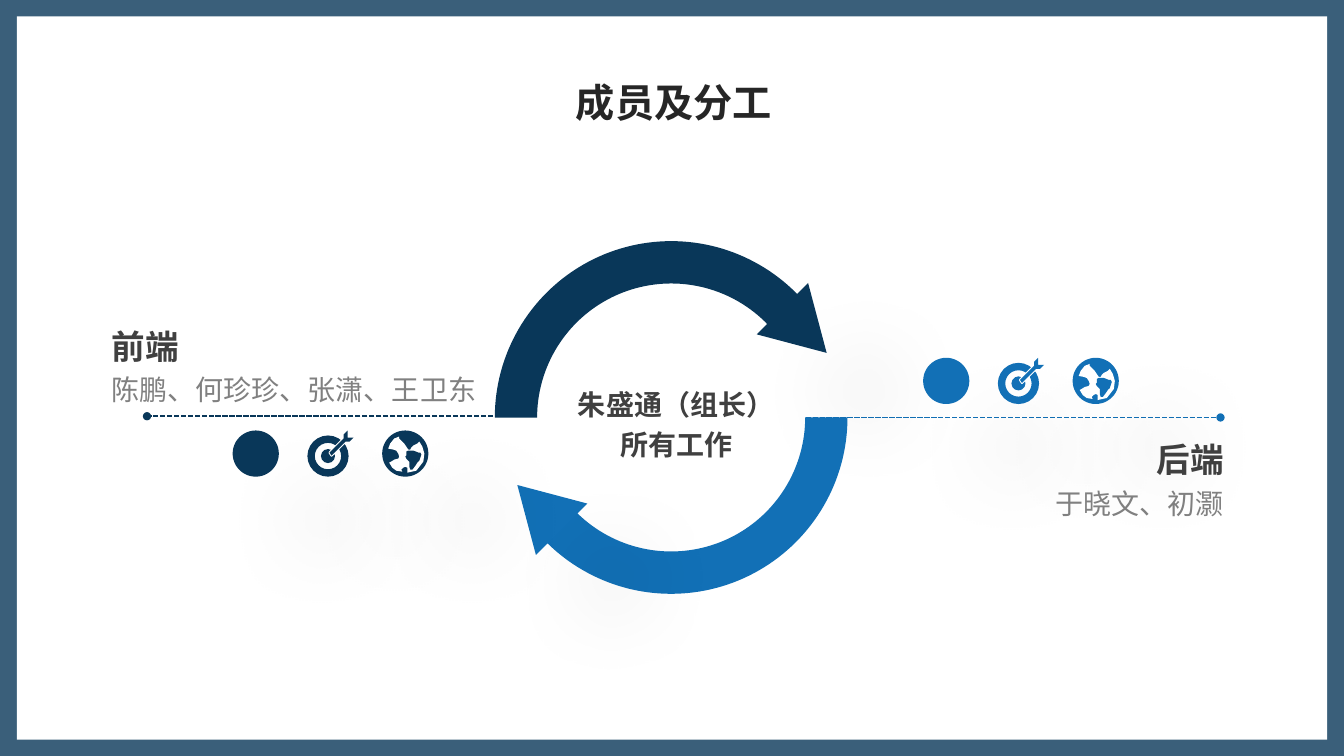
from dataclasses import dataclass

from lxml import etree
from pptx import Presentation, util as u
from pptx.dml.color import RGBColor
from pptx.enum import dml, shapes, text
from pptx.oxml.ns import qn


@dataclass(frozen=True)
class Theme:
    font: str = "Arial"
    navy: str = "093759"
    blue: str = "1270B6"
    frame: str = "3A5F7A"
    white: str = "FFFFFF"
    title: str = "262626"
    heading: str = "404040"
    body: str = "808080"
    title_pt: int = 28
    heading_pt: int = 24
    body_pt: int = 20


T = Theme()
W, H = u.Inches(13.333), u.Inches(7.5)
COLS, ROWS = 32, 18
ICON, ICON_STEP, ICON_GRID = 1.1, 1.78, 46  # cells, cells, drawing units per icon

DART = [(22, 22), (36, 8), (36, 4), (40, 0), (40, 7), (46, 7),
        (42, 11), (38, 11), (24, 25)]
OCEAN = [(25, 42), (25, 37), (23, 36), (21, 37), (19, 39), (20, 41), (14, 40),
         (10, 37), (7, 32), (9, 31), (12, 29), (16, 28), (17, 26), (16, 23),
         (14, 20), (11, 19), (6, 18), (8, 13), (12, 8), (17, 6), (17, 8),
         (20, 11), (22, 13), (24, 16), (26, 19), (28, 19), (29, 17), (31, 15),
         (35, 13), (37, 11), (40, 16), (42, 23), (41, 31), (34, 40)]
LAND = [(36, 22), (31, 20), (26, 20), (24, 21), (24, 25), (23, 26), (24, 28),
        (27, 31), (27, 36), (28, 39), (30, 39), (33, 35), (35, 32), (37, 30),
        (39, 24), (38, 22)]


def x(col):
    return u.Emu(round(W * col / COLS))


def y(row):
    return u.Emu(round(H * row / ROWS))


def rgb(color):
    return RGBColor.from_string(color)


def add_soft_shadow(sp):
    effects = sp._element.spPr.find(qn("a:effectLst"))
    shadow = etree.SubElement(effects, qn("a:outerShdw"), blurRad=str(u.Pt(61)),
                              dist=str(u.Pt(67)), dir="2700000", rotWithShape="0")
    color = etree.SubElement(shadow, qn("a:srgbClr"), val="000000")
    etree.SubElement(color, qn("a:alpha"), val="11000")


def paint(sp, color, shadow=False, outline=None):
    sp.shadow.inherit = False
    sp.fill.solid()
    sp.fill.fore_color.rgb = rgb(color)
    if outline:
        sp.line.color.rgb = rgb(outline)
        sp.line.width = u.Pt(1.5)
    else:
        sp.line.fill.background()
    if shadow:
        add_soft_shadow(sp)


def add_preset(s, kind, col, row, width, height, color, rotation=0, adjust=(), shadow=False):
    sp = s.shapes.add_shape(kind, x(col), y(row), x(width), y(height))
    sp.rotation = rotation
    for i, value in enumerate(adjust):
        sp.adjustments[i] = value
    paint(sp, color, shadow)


def add_outline(s, points, col, row, color, outline=None):
    """Draw a closed polygon given in icon drawing units."""
    builder = s.shapes.build_freeform(*points[0], scale=x(ICON) / ICON_GRID)
    builder.add_line_segments(points[1:], close=True)
    paint(builder.convert_to_shape(x(col), y(row)), color, outline=outline)


def add_dotted_line(s, start, end, color):
    """Draw a dashed line with a dot at its end."""
    line = s.shapes.add_connector(shapes.MSO_CONNECTOR.STRAIGHT,
                                  x(start[0]), y(start[1]), x(end[0]), y(end[1]))
    line.line.color.rgb = rgb(color)
    line.line.width = u.Pt(1.25)
    line.line.dash_style = dml.MSO_LINE.SQUARE_DOT
    etree.SubElement(line.line._get_or_add_ln(), qn("a:tailEnd"), type="oval")
    etree.SubElement(line._element.spPr, qn("a:effectLst"))


def add_text(s, lines, col, row, width, height, align=text.PP_ALIGN.LEFT,
             spacing=1.2, wrap=True):
    """Write lines of (wording, size, colour, bold), one paragraph each."""
    tf = s.shapes.add_textbox(x(col), y(row), x(width), y(height)).text_frame
    tf.word_wrap = wrap
    for i, (wording, size, color, bold) in enumerate(lines):
        p = tf.add_paragraph() if i else tf.paragraphs[0]
        p.alignment = align
        p.line_spacing = spacing
        r = p.add_run()
        r.text = wording
        r.font.name = T.font
        r.font.size = u.Pt(size)
        r.font.bold = bold
        r.font.color.rgb = rgb(color)


def add_target(s, col, row, color):
    unit = ICON / ICON_GRID
    kinds = shapes.MSO_SHAPE
    add_preset(s, kinds.DONUT, col, row + 5 * unit, 41 * unit, 41 * unit, color,
               adjust=[0.18], shadow=True)
    add_preset(s, kinds.OVAL, col + 13.5 * unit, row + 18.5 * unit,
               14 * unit, 14 * unit, color)
    add_outline(s, DART, col, row, color, outline=T.white)
    add_outline(s, DART, col, row, color)


def add_disc(s, col, row, color):
    add_preset(s, shapes.MSO_SHAPE.OVAL, col, row, ICON, ICON, color, shadow=True)


def add_globe(s, col, row, color):
    add_disc(s, col, row, color)
    add_outline(s, OCEAN, col, row, T.white)
    add_outline(s, LAND, col, row, color)


def add_icon_row(s, col, row, color):
    for i, add_icon in enumerate((add_disc, add_target, add_globe)):
        add_icon(s, col + i * ICON_STEP, row, color)


def add_cycle_arrow(s, color, rotation, head_col, head_row):
    add_preset(s, shapes.MSO_SHAPE.BLOCK_ARC, 11.78, 5.74, 8.4, 8.4, color,
               rotation, adjust=[216, 81.81, 0.12])
    add_preset(s, shapes.MSO_SHAPE.ISOSCELES_TRIANGLE, head_col, head_row, 1.73, 1.49,
               color, (rotation + 315) % 360, shadow=True)


def add_team(s, role, members, col, row, width, height, align):
    add_text(s, [(role, T.heading_pt, T.heading, True),
                 (members, T.body_pt, T.body, False)], col, row, width, height, align)


def main():
    prs = Presentation()
    prs.slide_width, prs.slide_height = W, H
    s = prs.slides.add_slide(prs.slide_layouts[6])
    center = text.PP_ALIGN.CENTER

    add_preset(s, shapes.MSO_SHAPE.RECTANGLE, 0, 0, COLS, ROWS, T.frame)
    add_preset(s, shapes.MSO_SHAPE.RECTANGLE, 0.4, 0.39, 31.2, 17.22, T.white)

    add_dotted_line(s, (19.18, 9.94), (29.06, 9.94), T.blue)
    add_cycle_arrow(s, T.navy, 180, 18.29, 7.13)
    add_cycle_arrow(s, T.blue, 0, 11.98, 11.33)
    add_dotted_line(s, (12.74, 9.91), (3.5, 9.91), T.navy)

    add_icon_row(s, 5.54, 10.25, T.navy)
    add_icon_row(s, 21.98, 8.52, T.blue)

    add_team(s, "前端", "陈鹏、何珍珍、张潇、王卫东", 2.42, 7.44, 9.38, 3.34,
             text.PP_ALIGN.LEFT)
    add_team(s, "后端", "于晓文、初灏", 22.18, 10.15, 7.2, 3.14, text.PP_ALIGN.RIGHT)
    add_text(s, [("成员及分工", T.title_pt, T.title, True)], 13.44, 1.75, 5.21, 1.37,
             center, spacing=1.0, wrap=False)
    add_text(s, [(wording, T.body_pt, T.heading, True)
                 for wording in ("朱盛通（组长）", "所有工作")],
             13.1, 8.95, 6, 2.18, center)
    prs.save("out.pptx")


if __name__ == "__main__":
    main()
